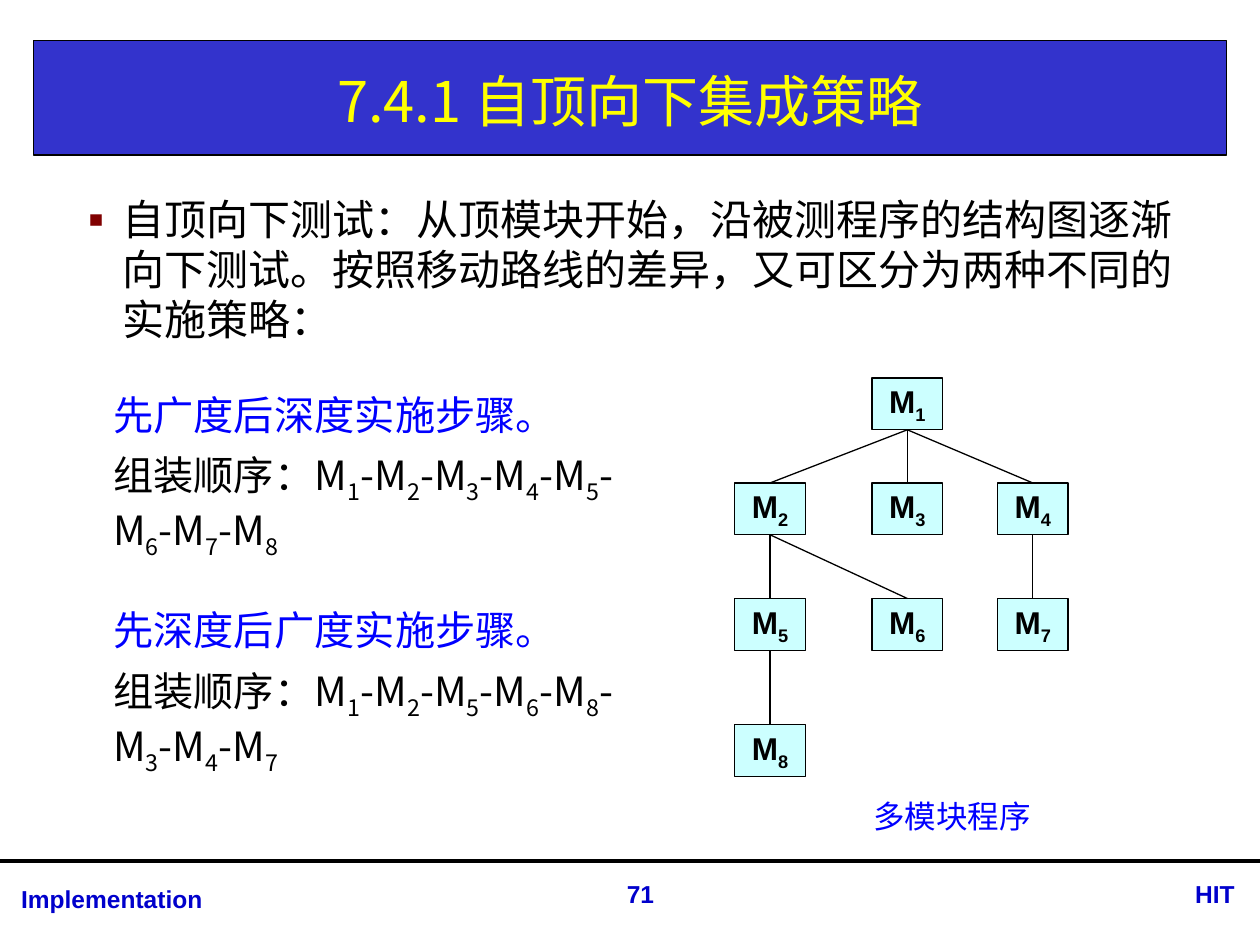
from collections import namedtuple
from dataclasses import dataclass

from lxml import etree
from pptx import Presentation
from pptx.dml.color import RGBColor
from pptx.enum import shapes, text
from pptx.oxml import ns
from pptx.util import Pt

Box = namedtuple("Box", "x y w h")


@dataclass(frozen=True)
class Theme:
    bar: str = "3333CC"
    head: str = "FFFF00"
    ink: str = "000000"
    blue: str = "0000FF"
    foot: str = "0000CC"
    node: str = "CCFFFF"
    mark: str = "800000"
    han: str = "Noto Sans CJK SC"
    sans: str = "Arial"
    title: int = 32
    body: int = 24
    step: int = 23
    small: int = 18
    note: int = 14
    thin: float = 0.75
    thick: float = 2.25


T = Theme()
MID = text.PP_ALIGN.CENTER
LEFT = text.PP_ALIGN.LEFT
RIGHT = text.PP_ALIGN.RIGHT


def rgb(tone):
    return RGBColor.from_string(tone)


def add_run(para, words, size, tone, face=T.han, bold=False, sub=False):
    run = para.add_run()
    run.text = words
    font = run.font
    font.size, font.bold, font.name = Pt(size), bold, face
    font.color.rgb = rgb(tone)
    props = run._r.get_or_add_rPr()
    etree.SubElement(props, ns.qn("a:ea"), typeface=face)
    if sub:
        props.set("baseline", "-25000")


def add_text(slide, box, align=LEFT, anchor=text.MSO_ANCHOR.TOP):
    frame = slide.shapes.add_textbox(*map(Pt, box)).text_frame
    frame.word_wrap = True
    frame.vertical_anchor = anchor
    frame.paragraphs[0].alignment = align
    return frame


def add_rect(slide, box, tone):
    rect = slide.shapes.add_shape(shapes.MSO_SHAPE.RECTANGLE, *map(Pt, box))
    rect.shadow.inherit = False
    rect.fill.solid()
    rect.fill.fore_color.rgb = rgb(tone)
    rect.line.color.rgb = rgb(T.ink)
    rect.line.width = Pt(T.thin)
    return rect


def add_line(slide, start, end, width):
    line = slide.shapes.add_connector(
        shapes.MSO_CONNECTOR.STRAIGHT, *map(Pt, start + end))
    line.line.color.rgb = rgb(T.ink)
    line.line.width = Pt(width)
    etree.SubElement(line._element.spPr, ns.qn("a:effectLst"))
    return line


def draw_head(slide, box):
    add_rect(slide, box, T.bar)
    area = Box(box.x, box.y + 3, box.w, box.h - 3)
    frame = add_text(slide, area, MID, text.MSO_ANCHOR.MIDDLE)
    add_run(frame.paragraphs[0], "7.4.1 自顶向下集成策略", T.title, T.head)


def draw_foot(slide, box):
    add_line(slide, (box.x, box.y), (box.x + box.w, box.y), T.thick)
    items = (
        ("Implementation", 5, 10, 277, LEFT),
        ("71", 329, 7, 74, MID),
        ("HIT", 638.6, 7, 74, RIGHT),
    )
    for words, x, y, w, align in items:
        area = Box(box.x + x, box.y + y, w, 24.5)
        para = add_text(slide, area, align).paragraphs[0]
        add_run(para, words, T.note, T.foot, T.sans, True)


def draw_lead(slide, box):
    para = add_text(slide, box).paragraphs[0]
    props = para._p.get_or_add_pPr()
    props.set("marL", str(Pt(27)))
    props.set("indent", str(-Pt(27)))
    tint = etree.SubElement(props, ns.qn("a:buClr"))
    etree.SubElement(tint, ns.qn("a:srgbClr"), val=T.mark)
    etree.SubElement(props, ns.qn("a:buFont"), typeface=T.han)
    etree.SubElement(props, ns.qn("a:buChar"), char="▪")
    para.line_spacing = Pt(28.8)
    add_run(para, "自顶向下测试：从顶模块开始，沿被测程序的结构图逐渐向下测试。"
                  "按照移动路线的差异，又可区分为两种不同的实施策略：", T.body, T.ink)


def draw_steps(slide, box, title, order):
    frame = add_text(slide, box)
    head, path = frame.paragraphs[0], frame.add_paragraph()
    for para in (head, path):
        para.line_spacing = Pt(31.4)
    path.space_before = Pt(6.9)
    add_run(head, title, T.step, T.blue)
    for i, num in enumerate(order):
        add_run(path, "-M" if i else "组装顺序：M", T.step, T.ink)
        add_run(path, num, T.step, T.ink, sub=True)


def draw_tree(slide, box):
    cols, rows = (0, 78.5, 150.2), (0, 60, 126, 198)
    spots = {"1": (1, 0), "2": (0, 1), "3": (1, 1), "4": (2, 1),
             "5": (0, 2), "6": (1, 2), "7": (2, 2), "8": (0, 3)}
    nodes = {}
    for num, (col, row) in spots.items():
        area = Box(box.x + cols[col], box.y + rows[row], 40.4, 29.6)
        node = nodes[num] = add_rect(slide, area, T.node)
        frame = node.text_frame
        frame.vertical_anchor = text.MSO_ANCHOR.MIDDLE
        para = frame.paragraphs[0]
        para.alignment = MID
        add_run(para, "M", T.small, T.ink, T.sans, True)
        add_run(para, num, T.small, T.ink, T.sans, True, True)
    for top, low in ("12", "13", "14", "25", "26", "47", "58"):
        link = add_line(slide, (0, 0), (0, 0), T.thin)
        link.begin_connect(nodes[top], 2)
        link.end_connect(nodes[low], 0)
    area = Box(box.x + 52.3, box.y + 236, 144, 29)
    para = add_text(slide, area, MID).paragraphs[0]
    add_run(para, "多模块程序", T.small, T.blue)


def main():
    deck = Presentation()
    deck.slide_width, deck.slide_height = Pt(720), Pt(540)
    slide = deck.slides.add_slide(deck.slide_layouts[6])
    draw_head(slide, Box(19, 23.2, 682, 65.4))
    draw_foot(slide, Box(0, 491.8, 720, 48))
    draw_tree(slide, Box(419.8, 216, 191, 265))
    draw_steps(slide, Box(57.6, 215.5, 318.2, 103.7),
               "先广度后深度实施步骤。", "12345678")
    draw_steps(slide, Box(57.6, 338.8, 318.2, 103.7),
               "先深度后广度实施步骤。", "12568347")
    draw_lead(slide, Box(36, 106.8, 648, 94.3))
    deck.save("out.pptx")


if __name__ == "__main__":
    main()
